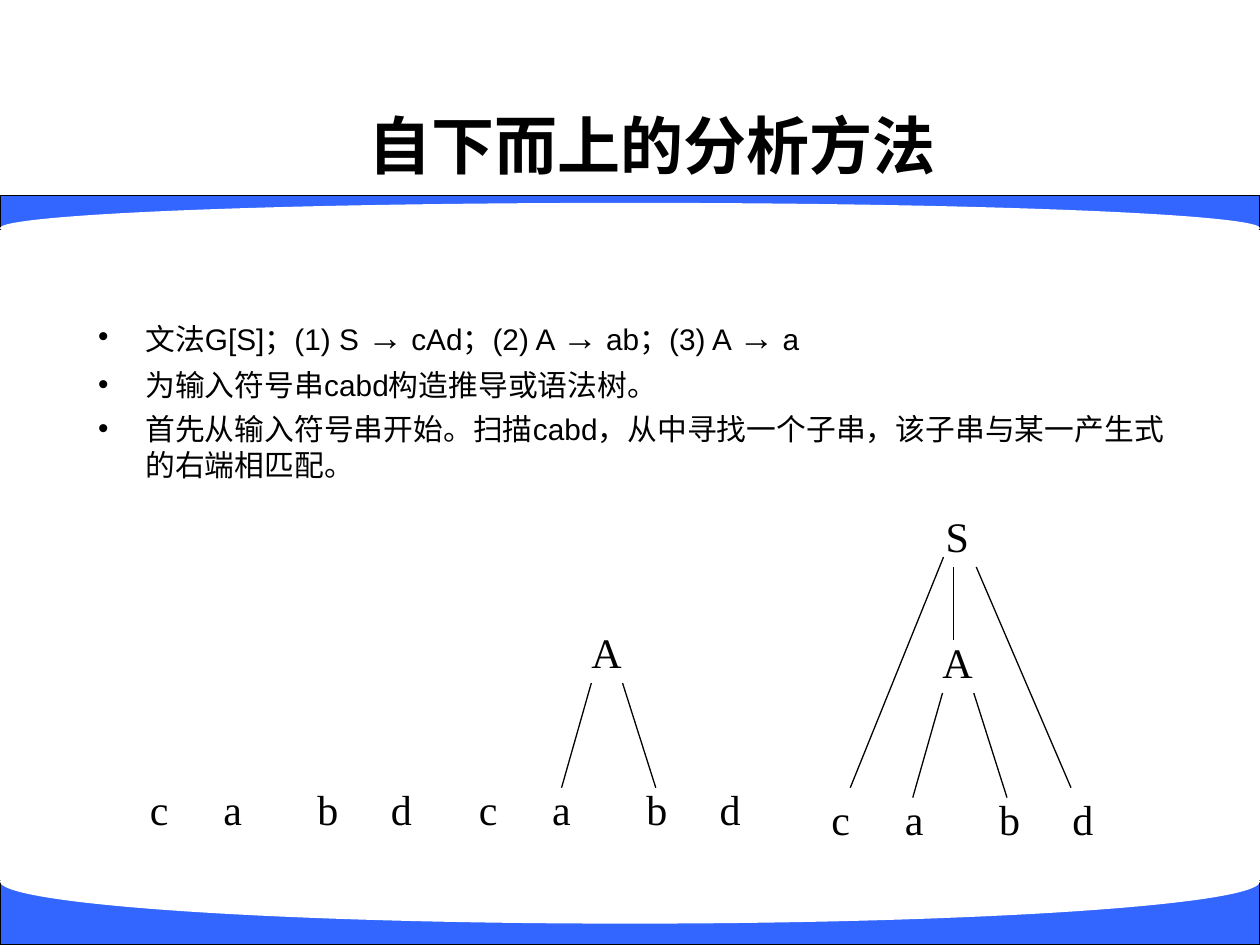
import pptx
import pptx.util
import pptx.dml.color
import pptx.enum.shapes
import pptx.enum.text
import pptx.oxml.ns
import lxml.etree

Cm = pptx.util.Cm
Pt = pptx.util.Pt
RGBColor = pptx.dml.color.RGBColor
SHAPE = pptx.enum.shapes.MSO_SHAPE
CONNECTOR = pptx.enum.shapes.MSO_CONNECTOR
ALIGN = pptx.enum.text.PP_ALIGN
ANCHOR = pptx.enum.text.MSO_ANCHOR
AUTO_SIZE = pptx.enum.text.MSO_AUTO_SIZE

BLACK = RGBColor(0x00, 0x00, 0x00)
WHITE = RGBColor(0xFF, 0xFF, 0xFF)
BLUE = RGBColor(0x33, 0x66, 0xFF)

TITLE_FONT = {"name": "Arial", "size": Pt(36), "bold": True}
BODY_FONT = {"name": "Arial", "size": Pt(17)}
ARROW_FONT = {"name": "Arial", "size": Pt(20.4)}
NODE_FONT = {"name": "Times New Roman", "size": Pt(24)}
BULLET_FORMAT = {"space_before": Pt(5)}

STATEMENTS = [
    "文法G[S]；(1) S → cAd；(2) A → ab；(3) A → a",
    "为输入符号串cabd构造推导或语法树。",
    "首先从输入符号串开始。扫描cabd，从中寻找一个子串，该子串与某一产生式的右端相匹配。",
]
LEAVES = {"c": 0, "a": 1.48, "b": 3.39, "d": 4.87}
A_BRANCHES = [(-0.3, 1.27, -0.9, 3.38), (0.33, 1.27, 1.0, 3.38)]
S_BRANCHES = [
    (-0.28, 1.07, -2.16, 5.72),
    (-0.08, 1.27, -0.08, 2.74),
    (0.38, 1.27, 2.29, 5.72),
]


def apply_format(target, values):
    for name, value in values.items():
        setattr(target, name, value)


def add_span(para, text, font):
    span = para.add_run()
    span.text = text
    apply_format(span.font, font)
    span.font.color.rgb = BLACK


def add_shape(page, kind, left, top, width, height, color):
    shape = page.shapes.add_shape(kind, Cm(left), Cm(top), Cm(width), Cm(height))
    shape.shadow.inherit = False
    shape.fill.solid()
    shape.fill.fore_color.rgb = color
    return shape


def add_band(page, top, height, curve_top, curve_height):
    band = add_shape(page, SHAPE.RECTANGLE, 0, top, 25.4, height, BLUE)
    band.line.color.rgb = BLACK
    band.line.width = Pt(0.75)
    curve = add_shape(page, SHAPE.OVAL, 0, curve_top, 25.4, curve_height, WHITE)
    curve.line.fill.background()


def add_title(page, text):
    title = page.shapes.title
    apply_format(title, {"left": Cm(2.34), "top": Cm(1.73),
                         "width": Cm(21.59), "height": Cm(2.34)})
    title.text_frame.vertical_anchor = ANCHOR.MIDDLE
    para = title.text_frame.paragraphs[0]
    para.alignment = ALIGN.CENTER
    add_span(para, text, TITLE_FONT)


def add_bullet(para):
    properties = para._p.get_or_add_pPr()
    properties.set("marL", str(Cm(0.95)))
    properties.set("indent", str(-Cm(0.95)))
    qn = pptx.oxml.ns.qn
    color = lxml.etree.SubElement(properties, qn("a:buClr"))
    lxml.etree.SubElement(color, qn("a:srgbClr"), val=str(BLACK))
    lxml.etree.SubElement(properties, qn("a:buFont"), typeface="Arial")
    lxml.etree.SubElement(properties, qn("a:buChar"), char="•")


def add_statements(page):
    box = page.shapes.add_textbox(Cm(1.73), Cm(6.22), Cm(22.4), Cm(3.63))
    frame = box.text_frame
    frame.word_wrap = True
    for index, statement in enumerate(STATEMENTS):
        para = frame.add_paragraph() if index else frame.paragraphs[0]
        if index:
            apply_format(para, BULLET_FORMAT)
        add_bullet(para)
        for position, part in enumerate(statement.split("→")):
            if position:
                add_span(para, "→", ARROW_FONT)
            add_span(para, part, BODY_FONT)


def add_node(page, symbol, center, top):
    width = 1.1 if symbol.isupper() else 0.9
    box = page.shapes.add_textbox(Cm(center - width / 2), Cm(top), Cm(width), Cm(1.27))
    apply_format(box.text_frame, {"word_wrap": False,
                                  "auto_size": AUTO_SIZE.SHAPE_TO_FIT_TEXT})
    para = box.text_frame.paragraphs[0]
    para.alignment = ALIGN.CENTER
    add_span(para, symbol, NODE_FONT)


def add_branch(page, start_x, start_y, end_x, end_y):
    branch = page.shapes.add_connector(
        CONNECTOR.STRAIGHT, Cm(start_x), Cm(start_y), Cm(end_x), Cm(end_y))
    branch.line.color.rgb = BLACK
    branch.line.width = Pt(0.75)
    lxml.etree.SubElement(branch._element.spPr, pptx.oxml.ns.qn("a:effectLst"))


def add_parent(page, symbol, center, top, branches):
    add_node(page, symbol, center, top)
    for start_x, start_y, end_x, end_y in branches:
        add_branch(page, center + start_x, top + start_y, center + end_x, top + end_y)


def add_leaves(page, left, top):
    for symbol, offset in LEAVES.items():
        add_node(page, symbol, left + offset, top)


def main():
    deck = pptx.Presentation()
    apply_format(deck, {"slide_width": Cm(25.4), "slide_height": Cm(19.05)})
    page = deck.slides.add_slide(deck.slide_layouts[5])
    add_band(page, 3.94, 0.69, 4.09, 1.02)
    add_band(page, 17.75, 1.3, 16.92, 1.7)
    add_title(page, "自下而上的分析方法")
    add_statements(page)
    add_leaves(page, 3.21, 15.67)
    add_leaves(page, 9.84, 15.67)
    add_parent(page, "A", 12.22, 12.5, A_BRANCHES)
    add_leaves(page, 16.95, 15.88)
    add_parent(page, "A", 19.3, 12.7, A_BRANCHES)
    add_parent(page, "S", 19.3, 10.16, S_BRANCHES)
    deck.save("out.pptx")


if __name__ == "__main__":
    main()
